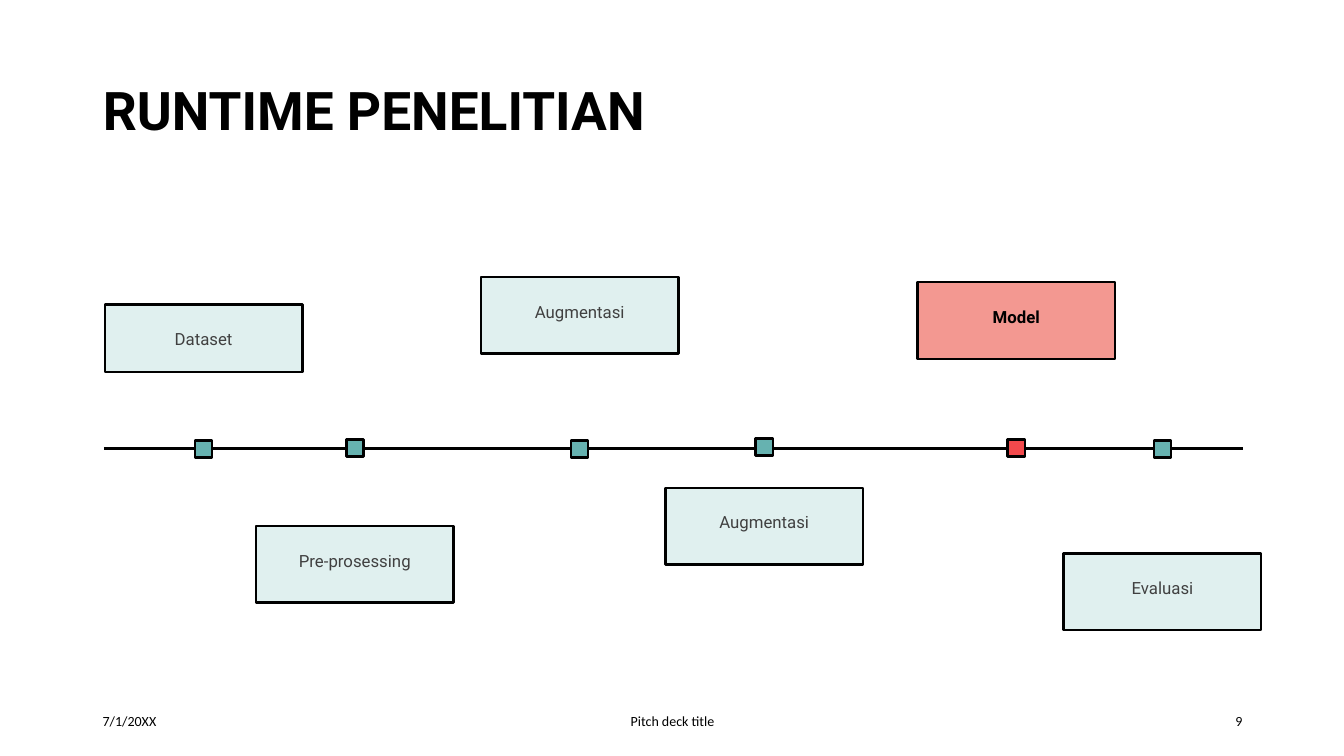
"""Build the research runtime timeline slide."""
from dataclasses import dataclass

from lxml import etree
from pptx import Presentation
from pptx.dml.color import RGBColor
from pptx.enum.shapes import MSO_CONNECTOR, MSO_SHAPE
from pptx.enum.text import MSO_ANCHOR, MSO_AUTO_SIZE, PP_ALIGN
from pptx.oxml.ns import qn
from pptx.util import Inches, Pt

RECT = MSO_SHAPE.RECTANGLE
STRAIGHT = MSO_CONNECTOR.STRAIGHT
TOP, MIDDLE = MSO_ANCHOR.TOP, MSO_ANCHOR.MIDDLE
NO_FIT = MSO_AUTO_SIZE.NONE
LEFT, CENTER, RIGHT = PP_ALIGN.LEFT, PP_ALIGN.CENTER, PP_ALIGN.RIGHT


@dataclass(frozen=True)
class Theme:
    """Colours, fonts and sizes of the deck."""
    ink: str = "000000"
    paper: str = "FFFFFF"
    label: str = "404040"
    box: str = "E0F0EF"
    marker: str = "66B2B0"
    hot_box: str = "F39891"
    hot_marker: str = "F2494C"
    font: str = "Roboto"
    footer_font: str = "Calibri"
    title_size: int = 38
    label_size: int = 12
    footer_size: int = 10
    axis_width: float = 2
    outline: float = 1.75


class TimelineSlide:
    """Draws timeline elements on one slide in one style."""
    BOX_WIDTH = 1.96
    MARKER = 0.17

    def __init__(self, prs, theme):
        self.theme = theme
        self.s = prs.slides.add_slide(prs.slide_layouts[5])
        self.s.background.fill.solid()
        self.s.background.fill.fore_color.rgb = RGBColor.from_string(theme.paper)

    def style(self, p, size, font, color, bold=False, align=LEFT):
        p.alignment = align
        p.font.size = Pt(size)
        p.font.name = font
        p.font.bold = bold
        p.font.color.rgb = RGBColor.from_string(color)

    def title(self, text, left, top, width, height):
        t = self.theme
        sp = self.s.shapes.title
        sp.left, sp.top = Inches(left), Inches(top)
        sp.width, sp.height = Inches(width), Inches(height)
        tf = sp.text_frame
        tf.text = text
        tf.auto_size = NO_FIT
        tf.vertical_anchor = MIDDLE
        p = tf.paragraphs[0]
        p.line_spacing = 0.9
        self.style(p, t.title_size, t.font, t.ink, bold=True)

    def axis(self, x1, x2, y):
        line = self.s.shapes.add_connector(
            STRAIGHT, Inches(x1), Inches(y), Inches(x2), Inches(y))
        line.line.color.rgb = RGBColor.from_string(self.theme.ink)
        line.line.width = Pt(self.theme.axis_width)
        etree.SubElement(line._element.spPr, qn("a:effectLst"))

    def rect(self, left, top, width, height, fill):
        sp = self.s.shapes.add_shape(
            RECT, Inches(left), Inches(top), Inches(width), Inches(height))
        sp.shadow.inherit = False
        sp.fill.solid()
        sp.fill.fore_color.rgb = RGBColor.from_string(fill)
        sp.line.color.rgb = RGBColor.from_string(self.theme.ink)
        sp.line.width = Pt(self.theme.outline)
        return sp

    def stage(self, text, left, top, height, marker_top, hot=False):
        t = self.theme
        marker_left = left + (self.BOX_WIDTH - self.MARKER) / 2
        self.rect(marker_left, marker_top, self.MARKER, self.MARKER,
                  t.hot_marker if hot else t.marker)
        sp = self.rect(left, top, self.BOX_WIDTH, height,
                       t.hot_box if hot else t.box)
        tf = sp.text_frame
        tf.text = text
        tf.word_wrap = True
        tf.vertical_anchor = TOP
        tf.margin_top, tf.margin_bottom = Inches(0.04), Inches(0.05)
        p = tf.paragraphs[0]
        p.line_spacing = 2.0
        p.space_before = Pt(10)
        self.style(p, t.label_size, t.font, t.ink if hot else t.label, hot, CENTER)

    def footer(self, text, left, width, align):
        t = self.theme
        sp = self.s.shapes.add_textbox(
            Inches(left), Inches(6.95), Inches(width), Inches(0.4))
        tf = sp.text_frame
        tf.text = text
        tf.word_wrap = True
        tf.vertical_anchor = MIDDLE
        self.style(tf.paragraphs[0], t.footer_size, t.footer_font, t.ink, align=align)


def main():
    prs = Presentation()
    prs.slide_width, prs.slide_height = Inches(13.33), Inches(7.5)
    slide = TimelineSlide(prs, Theme())

    slide.title("RUNTIME PENELITIAN", 0.92, 0.4, 11.5, 1.45)
    slide.axis(1.03, 12.33, 4.45)

    stages = [
        ("Dataset", 1.04, 3.02, 0.67, 4.37),
        ("Pre-prosessing", 2.54, 5.22, 0.76, 4.36),
        ("Augmentasi", 4.77, 2.75, 0.76, 4.37),
        ("Augmentasi", 6.6, 4.84, 0.76, 4.35),
        ("Model", 9.1, 2.8, 0.76, 4.36),
        ("Evaluasi", 10.55, 5.49, 0.76, 4.37),
    ]
    for text, left, top, height, marker_top in stages:
        slide.stage(text, left, top, height, marker_top, hot=text == "Model")

    slide.footer("7/1/20XX", 0.92, 3, LEFT)
    slide.footer("Pitch deck title", 4.42, 4.5, CENTER)
    slide.footer("9", 9.42, 3, RIGHT)

    prs.save("out.pptx")


if __name__ == "__main__":
    main()
